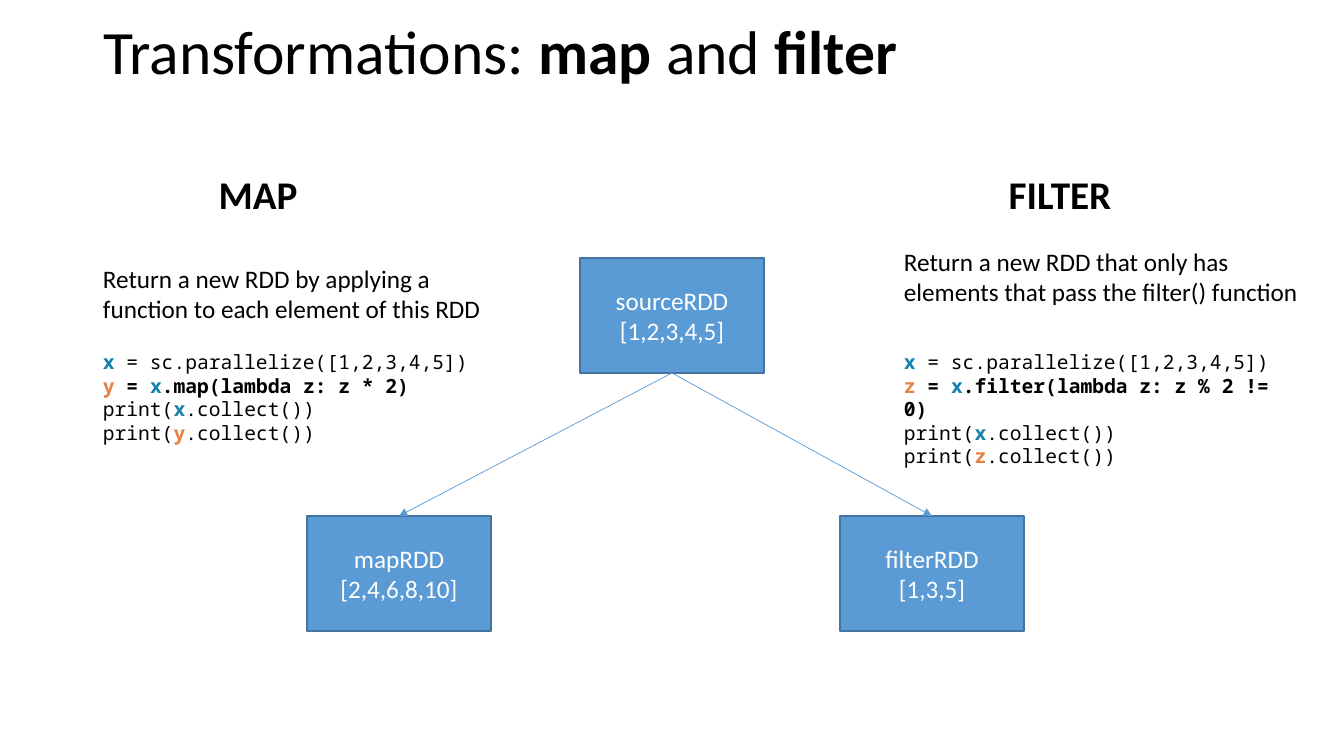
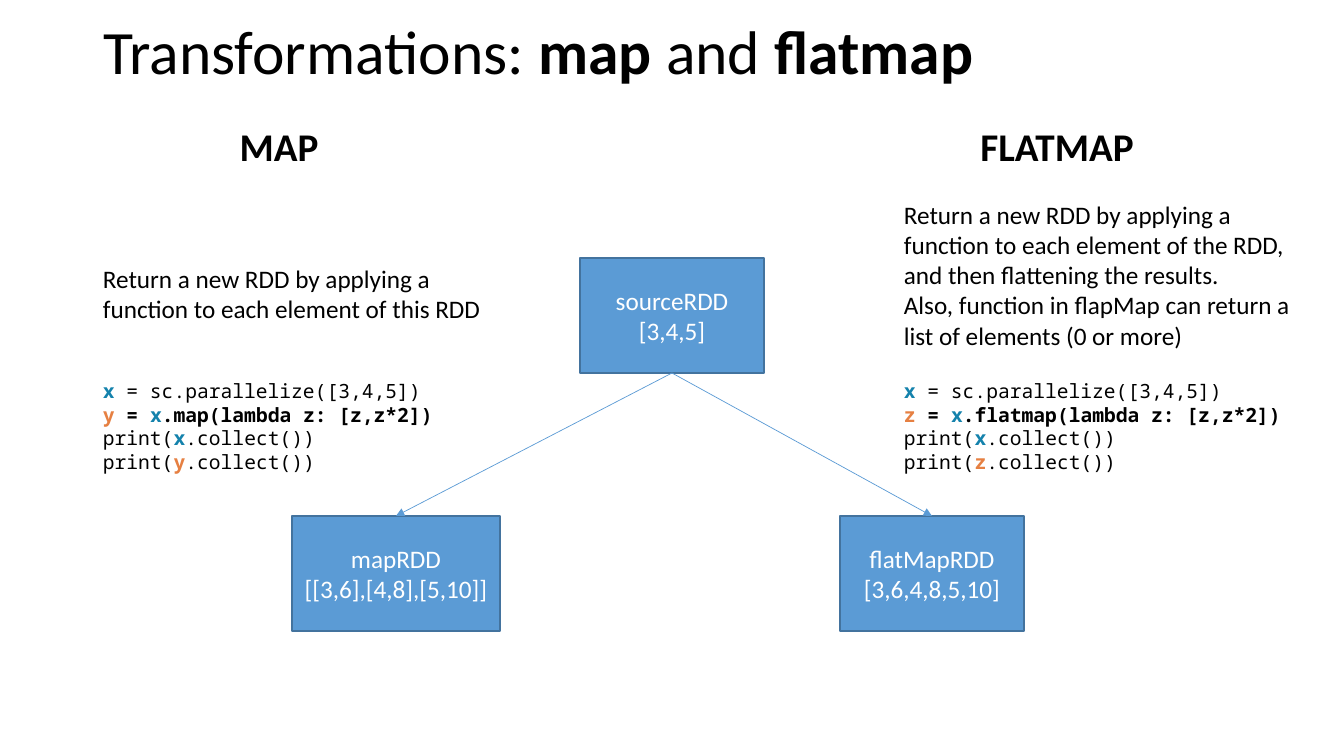
from lxml import etree
from pptx import Presentation
from pptx import util as u
from pptx.dml.color import RGBColor
from pptx.enum import shapes, text
from pptx.oxml.ns import qn

SCALE = 914400 / 100.8
BLACK = RGBColor(0x00, 0x00, 0x00)
WHITE = RGBColor(0xFF, 0xFF, 0xFF)
BLUE = RGBColor(0x5B, 0x9B, 0xD5)
EDGE = RGBColor(0x43, 0x73, 0x9E)
TEAL = RGBColor(0x14, 0x82, 0xAC)
ORANGE = RGBColor(0xE6, 0x80, 0x42)
BODY_FONT = "Calibri"
CODE_FONT = "Noto Sans Mono"
LEFT, RIGHT = 93, 894
NODE_WIDTH, NODE_HEIGHT = 184, 115
SOURCE_TOP, RESULT_TOP = 258, 516
MAP_SUMMARY = ["Return a new RDD by applying a function to each element of this RDD"]


def px(*lengths):
    return [u.Emu(round(length * SCALE)) for length in lengths]


def add_spans(para, spans, size, font=BODY_FONT):
    for words, color, bold in spans:
        span = para.add_run()
        span.text = words
        span.font.size = u.Pt(size)
        span.font.name = font
        span.font.bold = bold
        span.font.color.rgb = color


def write(frame, lines, size, font=BODY_FONT, align=text.PP_ALIGN.LEFT):
    frame.word_wrap = True
    for index, spans in enumerate(lines):
        para = frame.add_paragraph() if index else frame.paragraphs[0]
        para.alignment = align
        add_spans(para, spans, size, font)


def add_text(slide, place, lines, size, **style):
    box = slide.shapes.add_textbox(*px(*place))
    write(box.text_frame, lines, size, **style)


def add_title(slide, second):
    title = slide.shapes.title
    title.left, title.top, title.width, title.height = px(LEFT, 10, 1159, 89)
    frame = title.text_frame
    frame.auto_size = text.MSO_AUTO_SIZE.NONE
    frame.vertical_anchor = text.MSO_ANCHOR.MIDDLE
    spans = [("Transformations: ", BLACK, False), ("map", BLACK, True),
             (" and ", BLACK, False), (second, BLACK, True)]
    write(frame, [spans], 44)
    frame.paragraphs[0].line_spacing = 0.9


def add_heading(slide, left, top, words):
    add_text(slide, (left, top, 296, 48), [[(words, BLACK, True)]], 28,
             align=text.PP_ALIGN.CENTER)


def add_summary(slide, place, paragraphs):
    add_text(slide, place, [[(words, BLACK, False)] for words in paragraphs], 18)


def add_code(slide, left, top, data, result, call):
    def show(name, color):
        return [("print(", BLACK, False), (name, color, True),
                (".collect())", BLACK, False)]

    lines = [
        [("x", TEAL, True), (f" = sc.parallelize({data})", BLACK, False)],
        [(result, ORANGE, True), (" = ", BLACK, True), ("x", TEAL, True),
         (call, BLACK, True)],
        show("x", TEAL),
        show(result, ORANGE),
    ]
    add_text(slide, (left, top, 408, 105), lines, 14, font=CODE_FONT)


def add_node(slide, left, top, name, values, width=NODE_WIDTH):
    node = slide.shapes.add_shape(shapes.MSO_SHAPE.RECTANGLE,
                                  *px(left, top, width, NODE_HEIGHT))
    node.shadow.inherit = False
    node.fill.solid()
    node.fill.fore_color.rgb = BLUE
    node.line.color.rgb = EDGE
    node.line.width = u.Pt(1)
    node.text_frame.vertical_anchor = text.MSO_ANCHOR.MIDDLE
    write(node.text_frame, [[(words, WHITE, False)] for words in (name, values)],
          18, align=text.PP_ALIGN.CENTER)
    return node


def add_arrow(slide, source, target):
    arrow = slide.shapes.add_connector(shapes.MSO_CONNECTOR.STRAIGHT, 0, 0, 0, 0)
    arrow.begin_connect(source, 2)
    arrow.end_connect(target, 0)
    arrow.line.color.rgb = BLUE
    arrow.line.width = u.Pt(0.5)
    etree.SubElement(arrow.line._get_or_add_ln(), qn("a:tailEnd"), type="triangle")
    etree.SubElement(arrow._element.spPr, qn("a:effectLst"))


def add_flow(slide, data, map_node, other_node):
    source = add_node(slide, 580, SOURCE_TOP, "sourceRDD", data)
    for left, name, values, width in (map_node, other_node):
        add_arrow(slide, source,
                  add_node(slide, left, RESULT_TOP, name, values, width))


def add_comparison(deck, method, data, heading_top, map_heading_left,
                   heading_left, summary_place, summary, code_top,
                   map_call, call, map_node, other_node):
    slide = deck.slides.add_slide(deck.slide_layouts[5])
    add_title(slide, method)
    add_heading(slide, map_heading_left, heading_top, "MAP")
    add_heading(slide, heading_left, heading_top, method.upper())
    add_summary(slide, (LEFT, 258, 411, 70), MAP_SUMMARY)
    add_summary(slide, summary_place, summary)
    add_code(slide, LEFT, code_top, data, "y", map_call)
    add_code(slide, RIGHT, code_top, data, "z", call)
    add_flow(slide, data, map_node, other_node)


def main():
    deck = Presentation()
    deck.slide_width, deck.slide_height = px(1344, 756)
    add_comparison(
        deck, "filter", "[1,2,3,4,5]",
        heading_top=165, map_heading_left=110, heading_left=912,
        summary_place=(RIGHT, 241, 420, 70),
        summary=["Return a new RDD that only has elements that pass the filter() function"],
        code_top=345,
        map_call=".map(lambda z: z * 2)",
        call=".filter(lambda z: z % 2 != 0)",
        map_node=(307, "mapRDD", "[2,4,6,8,10]", NODE_WIDTH),
        other_node=(840, "filterRDD", "[1,3,5]", NODE_WIDTH))
    add_comparison(
        deck, "flatmap", "[3,4,5]",
        heading_top=117, map_heading_left=131, heading_left=909,
        summary_place=(RIGHT, 194, 420, 159),
        summary=["Return a new RDD by applying a function to each element of the RDD, "
                 "and then flattening the results.",
                 "Also, function in flapMap can return a list of elements (0 or more)"],
        code_top=374,
        map_call=".map(lambda z: [z,z*2])",
        call=".flatmap(lambda z: [z,z*2])",
        map_node=(292, "mapRDD", "[[3,6],[4,8],[5,10]]", 208),
        other_node=(840, "flatMapRDD", "[3,6,4,8,5,10]", NODE_WIDTH))
    deck.save("out.pptx")


main()
